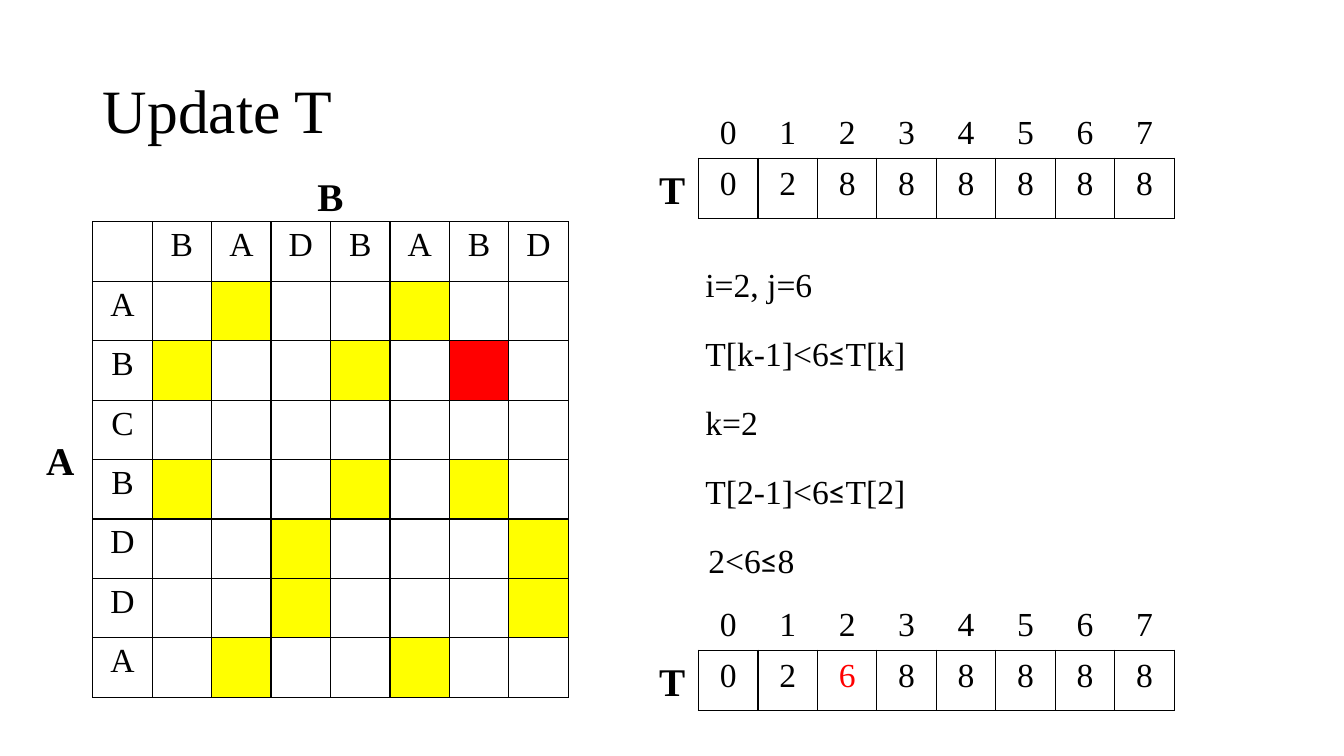
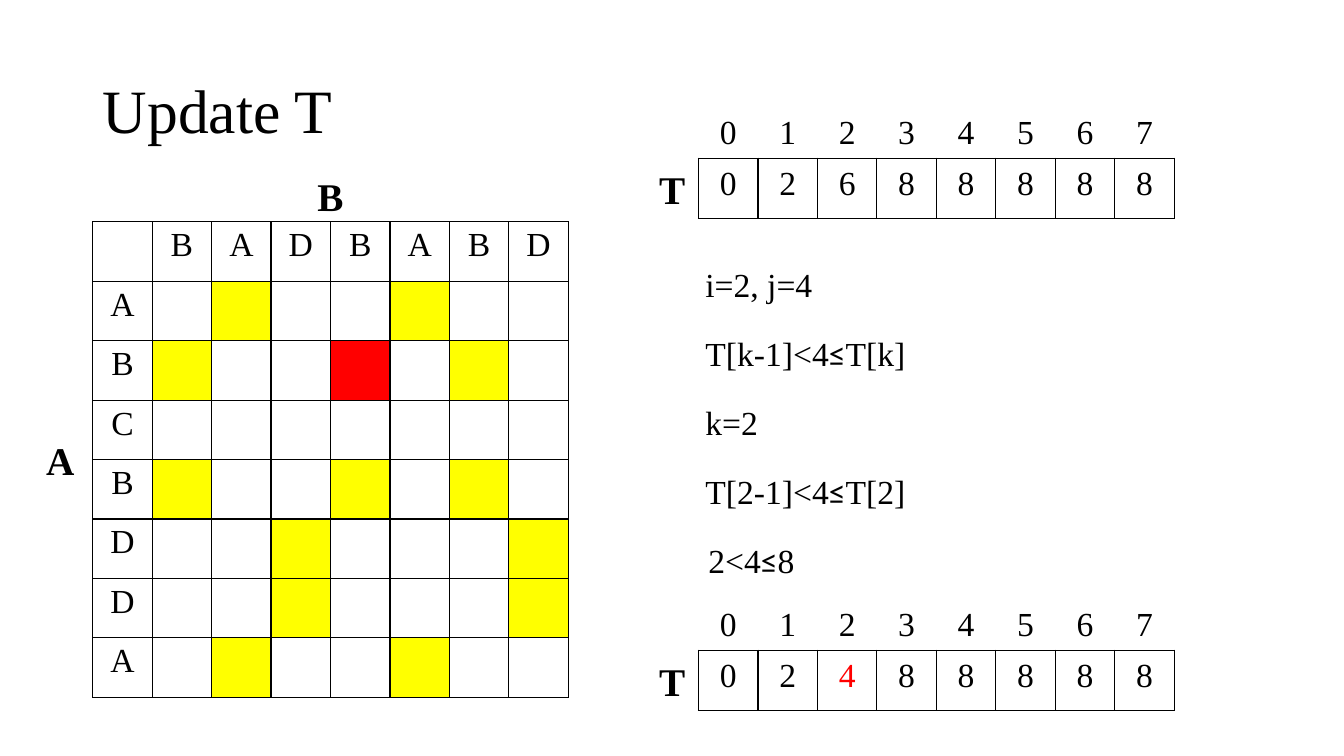
from lxml import etree
from pptx import Presentation
from pptx.dml.color import RGBColor
from pptx.enum.text import MSO_ANCHOR, MSO_AUTO_SIZE, PP_ALIGN
from pptx.oxml.ns import qn
from pptx.util import Emu, Pt

PX = 9144  # one px is a hundredth of an inch
BLACK = RGBColor(0x00, 0x00, 0x00)
RED = RGBColor(0xFF, 0x00, 0x00)
YELLOW = RGBColor(0xFF, 0xFF, 0x00)
SERIF, SANS = "Times New Roman", "Calibri"
LEFT, CENTER = PP_ALIGN.LEFT, PP_ALIGN.CENTER
MIDDLE = MSO_ANCHOR.MIDDLE
FIT_TEXT = MSO_AUTO_SIZE.SHAPE_TO_FIT_TEXT

CELL = 59
T_ROW = 60
T_LEFT = 693
WORD_A, WORD_B = "ABCBDDA", "BADBABD"
I, K = 2, 2
# Column j of the current match, and T before the update
UPDATES = [
    (6, [0, 2, 8, 8, 8, 8, 8, 8]),
    (4, [0, 2, 6, 8, 8, 8, 8, 8]),
]


def add_label(slide, text, left, top, width, height, size, bold=False):
    """Add a one-line text, with ≤ in the sans font."""
    box = slide.shapes.add_textbox(left * PX, top * PX, width * PX, height * PX)
    frame = box.text_frame
    frame.word_wrap = False
    frame.auto_size = FIT_TEXT
    line = frame.paragraphs[0]
    line.font.name, line.font.size, line.font.bold = SERIF, Pt(size), bold
    line.font.color.rgb = BLACK
    before, sign, after = text.partition("≤")
    for part in filter(None, (before, sign, after)):
        run = line.add_run()
        run.text = part
        if part == "≤":
            run.font.name = SANS


def add_grid(slide, rows, left, top, row_height, margins=(10, 5), bordered=True):
    """Add a table of centred values with equal cells, and return it."""
    columns = len(rows[0])
    table = slide.shapes.add_table(
        len(rows), columns, left * PX, top * PX,
        columns * CELL * PX, len(rows) * row_height * PX).table
    table.first_row = table.horz_banding = False
    for column in table.columns:
        column.width = Emu(CELL * PX)
    for r, values in enumerate(rows):
        table.rows[r].height = Emu(row_height * PX)
        for c, value in enumerate(values):
            cell = table.cell(r, c)
            cell.margin_left = cell.margin_right = Emu(margins[0] * PX)
            cell.margin_top = cell.margin_bottom = Emu(margins[1] * PX)
            if bordered:
                properties = cell._tc.get_or_add_tcPr()
                for side in ("lnL", "lnR", "lnT", "lnB"):
                    border = etree.SubElement(properties, qn("a:" + side), w=str(Pt(1)))
                    fill = etree.SubElement(border, qn("a:solidFill"))
                    etree.SubElement(fill, qn("a:srgbClr"), val=str(BLACK))
            cell.fill.background()
            cell.text = str(value)
            line = cell.text_frame.paragraphs[0]
            line.alignment = CENTER
            line.font.name, line.font.size = SERIF, Pt(24)
            line.font.color.rgb = BLACK
    return table


deck = Presentation()
deck.slide_width, deck.slide_height = Emu(12192000), Emu(750 * PX)
title_only = deck.slide_layouts[5]

for j, t_before in UPDATES:
    slide = deck.slides.add_slide(title_only)

    # Title
    title = slide.shapes.title
    title.left, title.top = Emu(92 * PX), Emu(40 * PX)
    title.width, title.height = Emu(1150 * PX), Emu(145 * PX)
    title.text_frame.text = "Update T"
    title.text_frame.vertical_anchor = MIDDLE
    heading = title.text_frame.paragraphs[0]
    heading.alignment = LEFT
    heading.line_spacing = 0.9
    heading.font.name, heading.font.size = SERIF, Pt(44)
    heading.font.color.rgb = BLACK

    # Match matrix: equal letters are yellow, the current match is red
    letters = [["", *WORD_B]] + [[a] + [""] * len(WORD_B) for a in WORD_A]
    matrix = add_grid(slide, letters, 92, 220, CELL)
    for r, a in enumerate(WORD_A, 1):
        for c, b in enumerate(WORD_B, 1):
            if a == b:
                match = matrix.cell(r, c)
                match.fill.solid()
                match.fill.fore_color.rgb = RED if (r, c) == (I, j) else YELLOW
    add_label(slide, "A", 36, 428, 49, 57, 28, bold=True)
    add_label(slide, "B", 305, 166, 46, 57, 28, bold=True)

    # T before and after the update, under its indices
    t_after = t_before[:K] + [j] + t_before[K + 1:]
    for top, t_values in ((107, t_before), (595, t_after)):
        add_grid(slide, [range(len(t_values))], T_LEFT, top, T_ROW, (15, 7), bordered=False)
        t_table = add_grid(slide, [t_values], T_LEFT, top + 50, T_ROW, (15, 7))
        add_label(slide, "T", 644, top + 52, 46, 57, 28, bold=True)
    t_table.cell(0, K).text_frame.paragraphs[0].font.color.rgb = RED

    # Steps that find k
    steps = [
        (f"i={I}, j={j}", 690, 127),
        (f"T[k-1]<{j}≤T[k]", 690, 220),
        (f"k={K}", 690, 73),
        (f"T[{K}-1]<{j}≤T[{K}]", 690, 220),
        (f"{t_before[K - 1]}<{j}≤8", 693, 106),
    ]
    for n, (step, left, width) in enumerate(steps):
        add_label(slide, step, left, 257 + n * 137 // 2, width, 50, 24)

deck.save("out.pptx")
